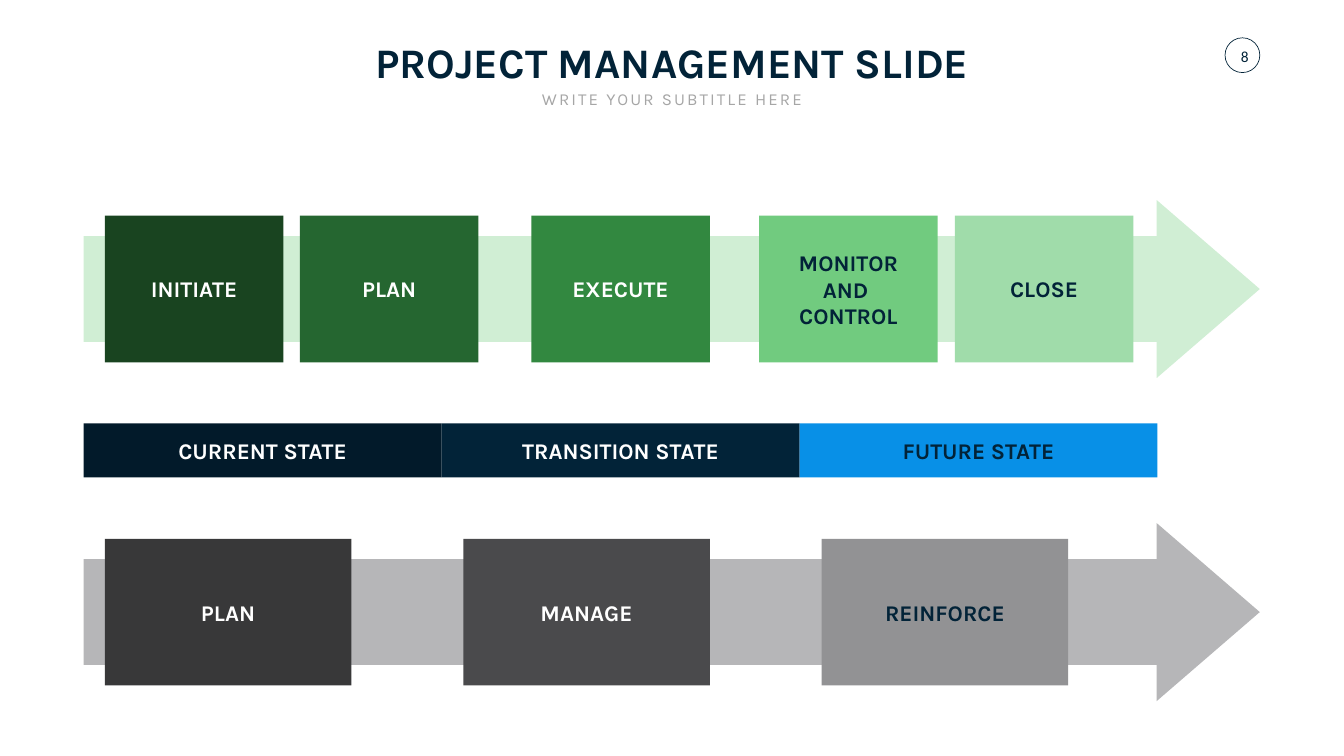
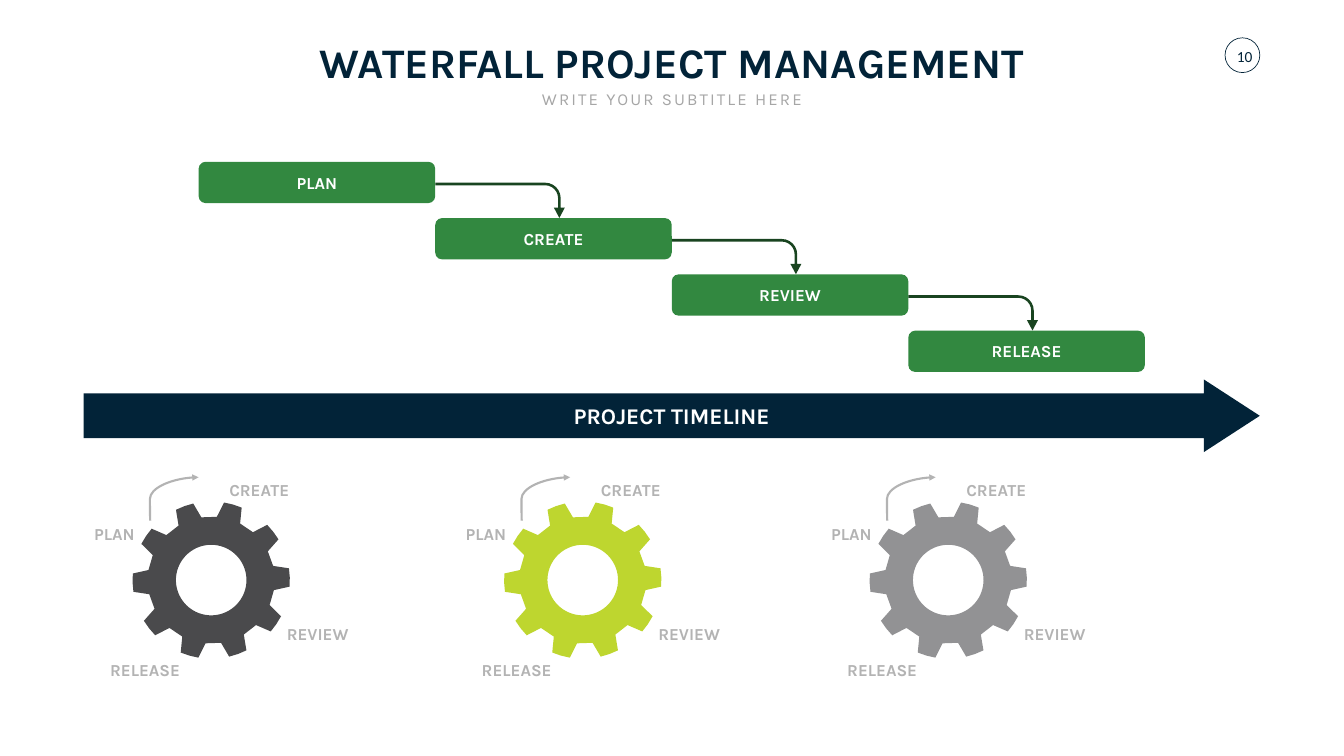
from math import cos, radians, sin

from lxml import etree
from pptx import Presentation
from pptx.dml.color import RGBColor
from pptx.enum.shapes import MSO_CONNECTOR, MSO_SHAPE
from pptx.enum.text import MSO_ANCHOR, MSO_AUTO_SIZE, PP_ALIGN
from pptx.oxml.ns import qn
from pptx.util import Inches, Pt

RECTANGLE = MSO_SHAPE.RECTANGLE
ROUNDED = MSO_SHAPE.ROUNDED_RECTANGLE
ELLIPSE = MSO_SHAPE.OVAL
RIGHT_ARROW = MSO_SHAPE.RIGHT_ARROW
BENT_ARROW = MSO_SHAPE.BENT_ARROW
CURVE = MSO_CONNECTOR.CURVE
LEFT, CENTER, RIGHT = PP_ALIGN.LEFT, PP_ALIGN.CENTER, PP_ALIGN.RIGHT
TOP, MIDDLE = MSO_ANCHOR.TOP, MSO_ANCHOR.MIDDLE
GROW = MSO_AUTO_SIZE.SHAPE_TO_FIT_TEXT

COLORS = {
    "navy": "022338", "deep_navy": "021A2A", "blue": "0890E7", "white": "FFFFFF",
    "subtitle": "A6A6A6", "caption": "B3B3B3", "lime": "BED62F",
    "green_1": "194420", "green_2": "256630", "green_3": "328840",
    "green_4": "71CB7F", "green_5": "A0DCAA", "green_6": "D0EED4",
    "gray_1": "383839", "gray_2": "4A4A4C", "gray_3": "929294", "gray_4": "B6B6B8",
}
SLIDE_WIDTH, SLIDE_HEIGHT = 26.66, 15
MARGIN, CONTENT_WIDTH = 1.66, 23.33


def color(name):
    return RGBColor.from_string(COLORS[name])


def fill_plain(shape, fill):
    shape.shadow.inherit = False
    shape.line.fill.background()
    if fill:
        shape.fill.solid()
        shape.fill.fore_color.rgb = color(fill)
    else:
        shape.fill.background()


def add_shape(shapes, kind, box, fill=None, adjustments=()):
    shape = shapes.add_shape(kind, *map(Inches, box))
    fill_plain(shape, fill)
    for index, value in enumerate(adjustments):
        shape.adjustments[index] = value
    return shape


def write_text(frame, text, size=32, font="Karla", ink="white", bold=True,
               align=CENTER, anchor=MIDDLE, spacing=0):
    frame.vertical_anchor = anchor
    for index, line in enumerate(text.split("\n")):
        paragraph = frame.paragraphs[0] if index == 0 else frame.add_paragraph()
        paragraph.alignment = align
        run = paragraph.add_run()
        run.text = line
        run.font.name = font
        run.font.size = Pt(size)
        run.font.bold = bold
        run.font.color.rgb = color(ink)
        if spacing:
            run.font._element.set("spc", str(spacing * 100))


def text_height(text, size):
    return len(text.split("\n")) * size * 0.0168 + 0.1


def add_text(shapes, text, left, top, width, size=32, **style):
    box = left, top, width, text_height(text, size)
    frame = shapes.add_textbox(*map(Inches, box)).text_frame
    frame.word_wrap = False
    frame.auto_size = GROW
    write_text(frame, text, size=size, **style)


def add_label(shapes, text, width, box, size=32, **style):
    left, top, box_width, box_height = box
    add_text(shapes, text, left + (box_width - width) / 2,
             top + (box_height - text_height(text, size)) / 2, width, size, **style)


def add_labelled_block(shapes, kind, box, fill, text, width, **style):
    add_shape(shapes, kind, box, fill)
    add_label(shapes, text, width, box, **style)


def start_slide(presentation, number, title, title_width):
    slide = presentation.slides.add_slide(presentation.slide_layouts[6])
    shapes = slide.shapes
    ring = add_shape(shapes, ELLIPSE, (24.3, 0.75, 0.69, 0.69))
    ring.line.color.rgb = color("navy")
    ring.line.width = Pt(1)
    frame = add_shape(shapes, ELLIPSE, (24.36, 0.79, 0.66, 0.66)).text_frame
    frame.margin_left = frame.margin_top = frame.margin_right = frame.margin_bottom = 0
    write_text(frame, number, size=22, font="Calibri", ink="navy", bold=False)
    add_text(shapes, title, (SLIDE_WIDTH - title_width) / 2, 0.67, title_width,
             size=60, ink="navy", anchor=TOP)
    add_text(shapes, "WRITE YOUR SUBTITLE HERE", (SLIDE_WIDTH - 5.43) / 2, 1.72, 5.43,
             size=24, ink="subtitle", bold=False, anchor=TOP, spacing=3)
    return shapes


def add_phase_arrow(shapes, box, fill, block_width, phases):
    left, top, _, _ = box
    add_shape(shapes, RIGHT_ARROW, box, fill, (0.594, 0.579))
    for text, text_width, offset, block_fill, ink in phases:
        block = left + offset, top + 0.31, block_width, 2.91
        add_labelled_block(shapes, RECTANGLE, block, block_fill, text, text_width, ink=ink)


def add_state_band(shapes, box, states):
    left, top, width, height = box
    cell_width = width / len(states)
    for index, (text, text_width, fill, ink) in enumerate(states):
        cell = left + index * cell_width, top, cell_width, height
        add_labelled_block(shapes, RECTANGLE, cell, fill, text, text_width, ink=ink)


def add_waterfall(shapes, box, steps):
    left, top, width, height = box
    step_width, step_height = width / len(steps), 0.82
    drop = (height - step_height) / (len(steps) - 1)
    for index, (text, text_width) in enumerate(steps):
        x, y = left + index * step_width, top + index * drop
        add_labelled_block(shapes, ROUNDED, (x, y, step_width, step_height), "green_3",
                           text, text_width, size=24)
        if index < len(steps) - 1:
            arrow = add_shape(shapes, BENT_ARROW, (x + 5.63, y - 0.52, 0.7, 2.57),
                              "green_1", (0.074, 0.157, 0.296, 0.438))
            arrow.rotation = 90


def add_timeline(shapes, box):
    add_shape(shapes, RIGHT_ARROW, box, "navy", (0.616, 0.77))
    add_label(shapes, "PROJECT TIMELINE", 4.31, box)


def add_gear(shapes, center_x, center_y, fill):
    def point(radius, angle):
        return (Inches(center_x + radius * cos(radians(angle))),
                Inches(center_y + radius * sin(radians(angle))))

    tooth = [(1.56, 6.7), (1.56, 0), (1.56, -6.7), (1.26, -11), (1.26, -25)]
    outline = [point(radius, angle - 1.9 - 36 * index)
               for index in range(10) for radius, angle in tooth]
    hole = [point(0.7, angle) for angle in range(0, 360, 5)]
    builder = shapes.build_freeform(*outline[0])
    builder.add_line_segments(outline[1:])
    builder.move_to(*hole[0])
    builder.add_line_segments(hole[1:])
    fill_plain(builder.convert_to_shape(), fill)


def add_curved_arrow(shapes, start, end):
    connector = shapes.add_connector(CURVE, *map(Inches, start + end))
    connector.line.color.rgb = color("caption")
    connector.line.width = Pt(3)
    properties = connector._element.spPr
    guides = properties.find(qn("a:prstGeom")).get_or_add_avLst()
    etree.SubElement(guides, qn("a:gd"), name="adj1", fmla="val -600")
    etree.SubElement(properties.find(qn("a:ln")), qn("a:tailEnd"), type="triangle")
    etree.SubElement(properties, qn("a:effectLst"))


def add_cycle(slide_shapes, left, top, fill):
    shapes = slide_shapes.add_group_shape().shapes
    add_gear(shapes, left + 2.49, top + 2.04, fill)
    captions = [
        ("CREATE", 2.75, 0, 1.49, LEFT), ("PLAN", 0, 0.86, 1.07, RIGHT),
        ("RELEASE", 0.38, 3.57, 1.59, RIGHT), ("REVIEW", 3.89, 2.85, 1.49, LEFT),
    ]
    for text, x, y, width, align in captions:
        add_text(shapes, text, left + x, top + y, width, size=24, ink="caption", align=align)
    add_curved_arrow(shapes, (left + 1.28, top + 0.86), (left + 2.24, top))


def build_phases_slide(presentation):
    shapes = start_slide(presentation, "8", "PROJECT MANAGEMENT SLIDE", 12.72)
    add_phase_arrow(shapes, (MARGIN, 3.97, CONTENT_WIDTH, 3.53), "green_6", 3.54, [
        ("INITIATE", 2.04, 0.42, "green_1", "white"),
        ("PLAN", 1.37, 4.29, "green_2", "white"),
        ("EXECUTE", 2.17, 8.88, "green_3", "white"),
        ("MONITOR\nAND \nCONTROL", 2.36, 13.4, "green_4", "navy"),
        ("CLOSE", 1.63, 17.28, "green_5", "navy"),
    ])
    add_state_band(shapes, (MARGIN, 8.4, 21.3, 1.07), [
        ("CURRENT STATE", 3.76, "deep_navy", "white"),
        ("TRANSITION STATE", 4.4, "navy", "white"),
        ("FUTURE STATE", 3.35, "blue", "navy"),
    ])
    add_phase_arrow(shapes, (MARGIN, 10.38, CONTENT_WIDTH, 3.53), "gray_4", 4.89, [
        ("PLAN", 1.37, 0.42, "gray_1", "white"),
        ("MANAGE", 2.2, 7.53, "gray_2", "white"),
        ("REINFORCE", 2.68, 14.64, "gray_3", "navy"),
    ])


def build_waterfall_slide(presentation):
    shapes = start_slide(presentation, "10", "WATERFALL PROJECT MANAGEMENT", 15.37)
    add_waterfall(shapes, (3.94, 3.21, 18.77, 4.17), [
        ("PLAN", 1.07), ("CREATE", 1.49), ("REVIEW", 1.49), ("RELEASE", 1.59),
    ])
    add_timeline(shapes, (MARGIN, 7.53, CONTENT_WIDTH, 1.44))
    for left, fill in [(1.7, "gray_2"), (9.07, "lime"), (16.32, "gray_3")]:
        add_cycle(shapes, left, 9.47, fill)


def main():
    presentation = Presentation()
    presentation.slide_width = Inches(SLIDE_WIDTH)
    presentation.slide_height = Inches(SLIDE_HEIGHT)
    build_phases_slide(presentation)
    build_waterfall_slide(presentation)
    presentation.save("out.pptx")


if __name__ == "__main__":
    main()
